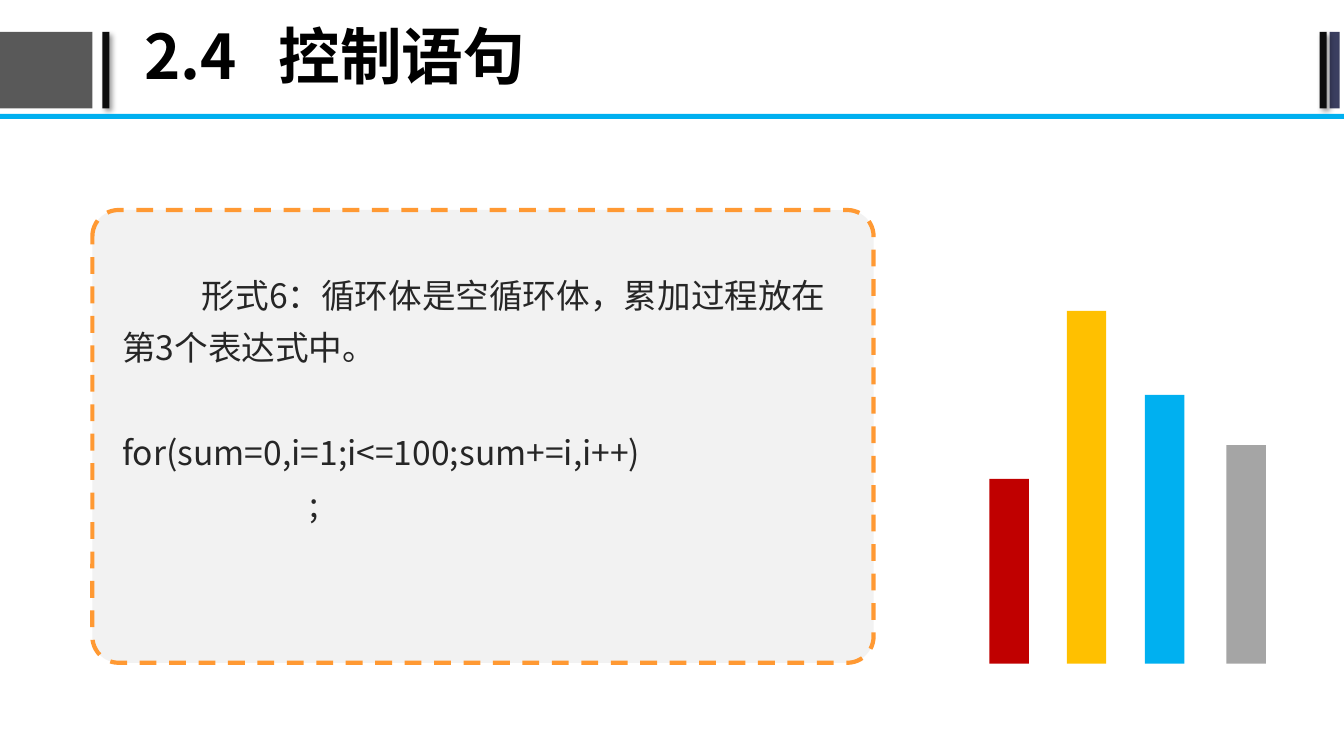
from lxml import etree
from pptx import Presentation, util as u
from pptx.dml.color import RGBColor
from pptx.enum import dml, shapes, text
from pptx.oxml import ns

BLACK = RGBColor(0x00, 0x00, 0x00)
NEAR_BLACK = RGBColor(0x0D, 0x0D, 0x0D)
TEXT_GREY = RGBColor(0x26, 0x26, 0x26)
DARK_GREY = RGBColor(0x59, 0x59, 0x59)
MID_GREY = RGBColor(0xA5, 0xA5, 0xA5)
PALE_GREY = RGBColor(0xF2, 0xF2, 0xF2)
NAVY = RGBColor(0x3B, 0x3F, 0x60)
BLUE = RGBColor(0x00, 0xB0, 0xF0)
ORANGE = RGBColor(0xFF, 0x99, 0x33)
YELLOW = RGBColor(0xFF, 0xC0, 0x00)
RED = RGBColor(0xC0, 0x00, 0x00)
FONT = "Noto Sans CJK SC"

presentation = Presentation()
presentation.slide_width = u.Inches(40 / 3)
presentation.slide_height = u.Inches(7.5)
slide = presentation.slides.add_slide(presentation.slide_layouts[5])

# The slide is a grid of 160 columns by 90 rows of square cells
CELL = presentation.slide_width / 160


def add_block(parent, box, color, preset=shapes.MSO_SHAPE.RECTANGLE):
    shape = parent.add_shape(preset, *(round(CELL * n) for n in box))
    shape.shadow.inherit = False
    shape.fill.solid()
    shape.fill.fore_color.rgb = color
    shape.line.fill.background()
    return shape


def style_paragraph(paragraph, size, color, bold=False):
    font = paragraph.font
    font.size, font.bold, font.name = u.Pt(size), bold, FONT
    font.color.rgb = color
    defaults = paragraph._p.pPr.find(ns.qn("a:defRPr"))
    etree.SubElement(defaults, ns.qn("a:ea"), typeface=FONT)


# Header blocks: left, width, colour, shadow
HEADER_TOP, HEADER_HEIGHT = 3.8, 9.12
for left, width, color, has_shadow in (
    (0, 11, DARK_GREY, False),
    (12.2, 0.84, NEAR_BLACK, True),
    (158.3, 1.2, NAVY, False),
    (157.1, 0.84, NEAR_BLACK, True),
):
    block = add_block(slide.shapes, (left, HEADER_TOP, width, HEADER_HEIGHT), color)
    if has_shadow:
        effects = block._element.spPr.find(ns.qn("a:effectLst"))
        shadow = etree.SubElement(
            effects, ns.qn("a:outerShdw"), blurRad=str(u.Pt(4)), dist=str(u.Pt(3)),
            dir=str(45 * 60000), algn="tl", rotWithShape="0")
        shade = etree.SubElement(shadow, ns.qn("a:srgbClr"), val=str(BLACK))
        etree.SubElement(shade, ns.qn("a:alpha"), val="40000")

# Title, with a tab between number and name
title = slide.shapes.title
title.left, title.top, title.width, title.height = (
    round(CELL * n) for n in (16, 0, 135, 14.2))
frame = title.text_frame
frame.text = "2.4\t控制语句"
frame.auto_size = text.MSO_AUTO_SIZE.NONE
frame.vertical_anchor = text.MSO_ANCHOR.MIDDLE
paragraph = frame.paragraphs[0]
paragraph.alignment = text.PP_ALIGN.LEFT
paragraph.line_spacing = 0.9
tabs = etree.SubElement(paragraph._p.get_or_add_pPr(), ns.qn("a:tabLst"))
etree.SubElement(tabs, ns.qn("a:tab"), pos=str(u.Inches(1.33)), algn="l")
style_paragraph(paragraph, 44, BLACK, bold=True)

# Rule under the header
add_block(slide.shapes, (0, 13.55, 160, 0.6), BLUE)

# Dashed panel
panel = add_block(slide.shapes, (11, 25, 93, 53.9), PALE_GREY,
                  shapes.MSO_SHAPE.ROUNDED_RECTANGLE)
panel.adjustments[0] = 0.058
panel.line.color.rgb = ORANGE
panel.line.width = u.Pt(3)
panel.line.dash_style = dml.MSO_LINE.DASH

# Explanation and code: text, first-line indent in inches, space before in points
textbox = slide.shapes.add_textbox(*(round(CELL * n) for n in (13, 30.4, 88.2, 39.7)))
frame = textbox.text_frame
frame.word_wrap = True
frame.margin_left = frame.margin_right = u.Inches(0.13)
frame.margin_top = frame.margin_bottom = u.Inches(0.07)
for index, (words, indent, space) in enumerate((
    ("形式6：循环体是空循环体，累加过程放在第3个表达式中。", 0.79, 0),
    ("for(sum=0,i=1;i<=100;sum+=i,i++)", 0, 37.5),
    (";", 1.86, 0),
)):
    paragraph = frame.add_paragraph() if index else frame.paragraphs[0]
    paragraph.text = words
    paragraph.line_spacing = 1.3
    paragraph.space_before = u.Pt(space)
    properties = paragraph._p.get_or_add_pPr()
    properties.set("marL", "0")
    properties.set("indent", str(u.Inches(indent)))
    style_paragraph(paragraph, 24, TEXT_GREY)

# Decorative bars on a common baseline: left, height, colour
BASELINE, BAR_WIDTH = 79, 4.7
bars = slide.shapes.add_group_shape()
for left, height, color in (
    (117.8, 22, RED), (127, 42, YELLOW), (136.3, 32, BLUE), (146, 26, MID_GREY),
):
    add_block(bars.shapes, (left, BASELINE - height, BAR_WIDTH, height), color)

presentation.save("out.pptx")
